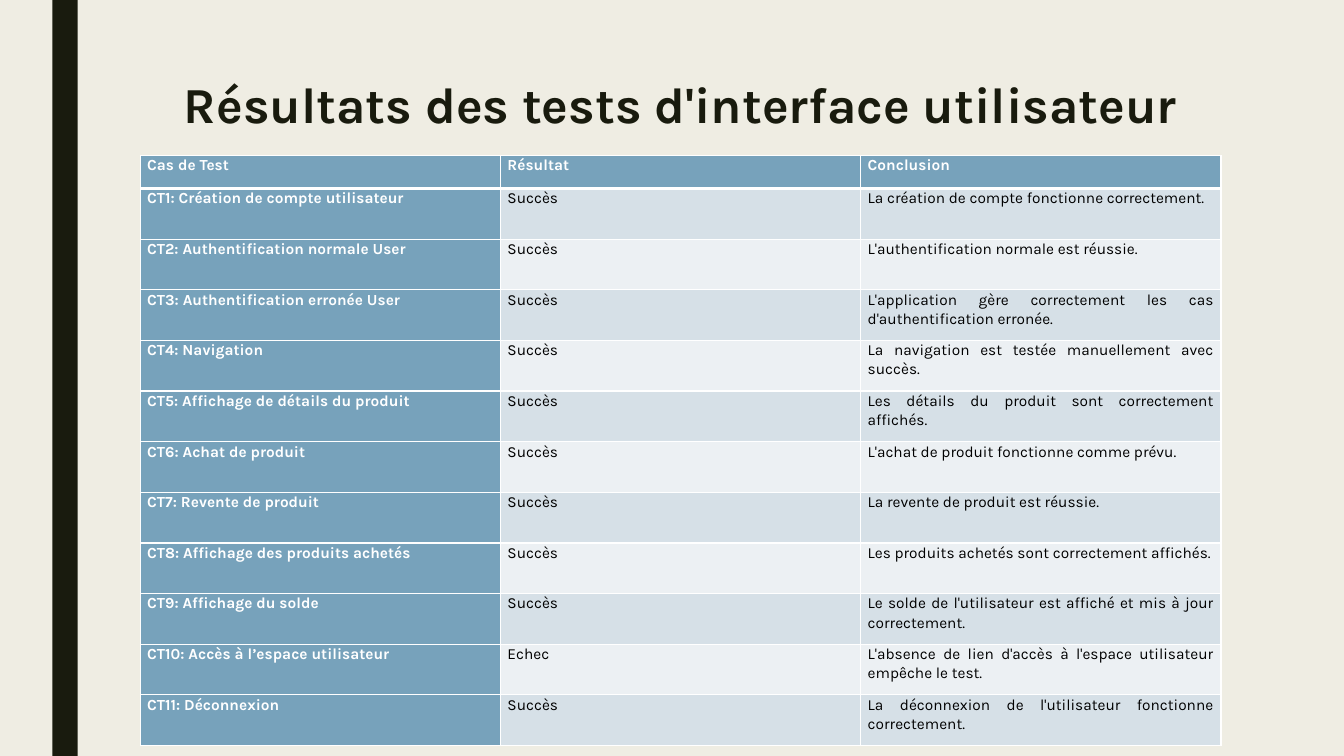
"""Build the slide of user interface test results."""
from pptx import Presentation
from pptx import util as u
from pptx.dml.color import RGBColor
from pptx.enum import shapes, text
from pptx.oxml import parse_xml
from pptx.oxml.ns import nsdecls

THEME = {
    "font": "Karla", "head": 36, "body": 11,
    "back": "EFEDE3", "dark": "191B0E", "blue": "77A2BB",
    "bands": ("ECF0F3", "D6E0E7"), "white": "FFFFFF", "black": "000000",
}
WIDE, HIGH = u.Inches(13.33), u.Inches(7.5)
TOP = u.Inches(0.33)
ROW = u.Inches(5.53 / 11)
COL = u.Inches(10.72 / 3)
TITLE = "Résultats des tests d'interface utilisateur"
ROWS = [
    ("Cas de Test", "Résultat", "Conclusion"),
    ("CT1: Création de compte utilisateur", "Succès",
     "La création de compte fonctionne correctement."),
    ("CT2: Authentification normale User", "Succès",
     "L'authentification normale est réussie."),
    ("CT3: Authentification erronée User", "Succès",
     "L'application gère correctement les cas d'authentification erronée."),
    ("CT4: Navigation", "Succès",
     "La navigation est testée manuellement avec succès."),
    ("CT5: Affichage de détails du produit", "Succès",
     "Les détails du produit sont correctement affichés."),
    ("CT6: Achat de produit", "Succès",
     "L'achat de produit fonctionne comme prévu."),
    ("CT7: Revente de produit", "Succès",
     "La revente de produit est réussie."),
    ("CT8: Affichage des produits achetés", "Succès",
     "Les produits achetés sont correctement affichés."),
    ("CT9: Affichage du solde", "Succès",
     "Le solde de l'utilisateur est affiché et mis à jour correctement."),
    ("CT10: Accès à l’espace utilisateur", "Echec",
     "L'absence de lien d'accès à l'espace utilisateur empêche le test."),
    ("CT11: Déconnexion", "Succès",
     "La déconnexion de l'utilisateur fonctionne correctement."),
]


def paint(fill, color):
    fill.solid()
    fill.fore_color.rgb = RGBColor.from_string(color)


def write(frame, words, color, size, bold, form):
    para = frame.paragraphs[0]
    run = para.add_run()
    run.text = words
    font = {"name": THEME["font"], "size": u.Pt(size), "bold": bold}
    for item, values in ((para, form), (run.font, font)):
        for key, value in values.items():
            setattr(item, key, value)
    run.font.color.rgb = RGBColor.from_string(color)


deck = Presentation()
deck.slide_width, deck.slide_height = WIDE, HIGH
slide = deck.slides.add_slide(deck.slide_layouts[6])
paint(slide.background.fill, THEME["back"])

bar = slide.shapes.add_shape(
    shapes.MSO_SHAPE.RECTANGLE, u.Inches(0.52), 0, u.Inches(0.25), HIGH)
bar.shadow.inherit = False
bar.line.fill.background()
paint(bar.fill, THEME["dark"])

title = slide.shapes.add_textbox(
    u.Inches(1.5), HIGH // 10, u.Inches(10.5), u.Inches(0.79))
title.text_frame.word_wrap = True
title.text_frame.vertical_anchor = text.MSO_ANCHOR.TOP
write(title.text_frame, TITLE, THEME["dark"], THEME["head"], True,
      {"alignment": text.PP_ALIGN.CENTER, "line_spacing": 0.89})

grid = slide.shapes.add_table(
    len(ROWS), 3, u.Inches(1.39), u.Inches(1.54),
    COL * 3, TOP + ROW * (len(ROWS) - 1)).table
for col in grid.columns:
    col.width = COL
pad = {"margin_left": u.Inches(0.07), "margin_right": u.Inches(0.07),
       "margin_top": 0, "margin_bottom": 0}
flow = {"alignment": text.PP_ALIGN.JUSTIFY, "line_spacing": 1.07,
        "space_after": u.Pt(8)}

for r, row in enumerate(ROWS):
    grid.rows[r].height = ROW if r else TOP
    for c, words in enumerate(row):
        cell = grid.cell(r, c)
        for key, value in pad.items():
            setattr(cell, key, value)
        props = cell._tc.get_or_add_tcPr()
        for side in "LRTB":
            thick = u.Pt(3 if (r, side) in ((0, "B"), (1, "T")) else 1)
            props.append(parse_xml(
                f'<a:ln{side} {nsdecls("a")} w="{thick}"><a:solidFill>'
                f'<a:srgbClr val="{THEME["white"]}"/></a:solidFill></a:ln{side}>'))
        head = r == 0 or c == 0
        paint(cell.fill, THEME["blue"] if head else THEME["bands"][r % 2])
        write(cell.text_frame, words, THEME["white" if head else "black"],
              THEME["body"], head, flow)

deck.save("out.pptx")
